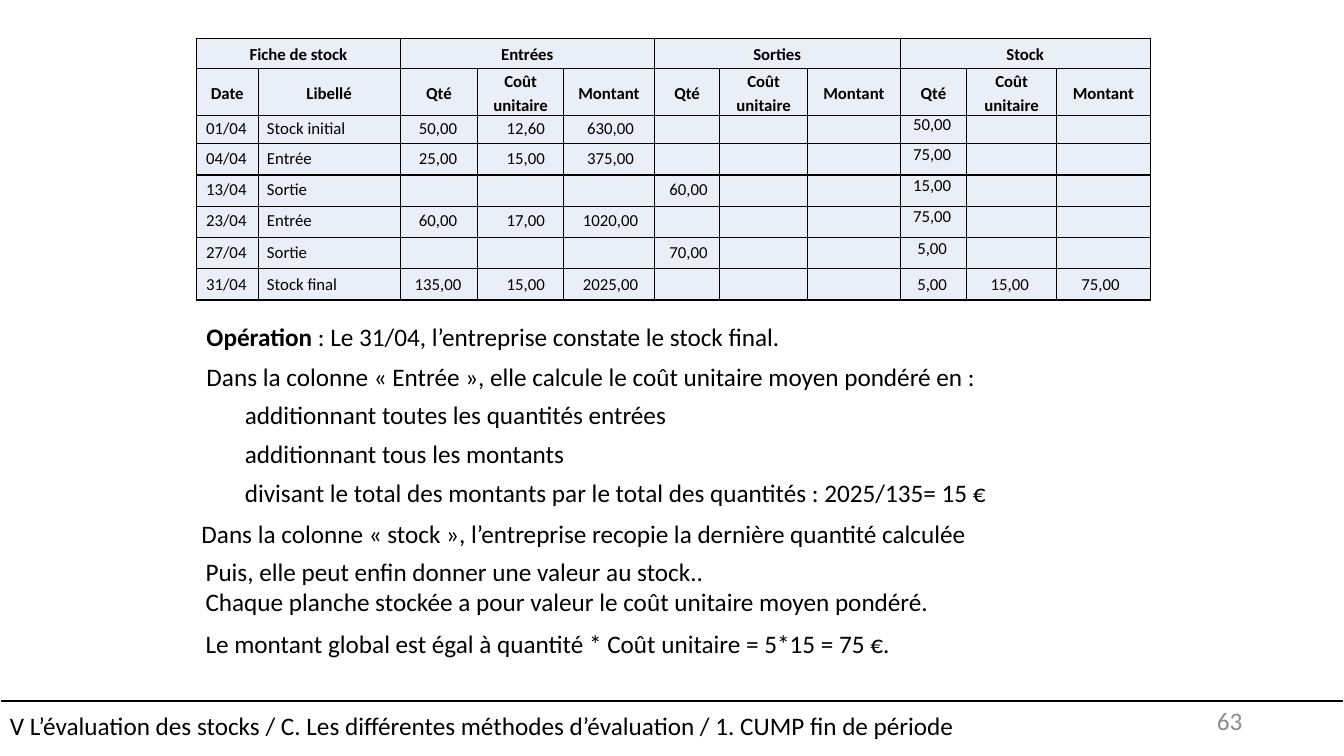
import pptx
import pptx.util
import pptx.dml.color
import pptx.enum.shapes
import pptx.enum.text
import pptx.oxml
import pptx.oxml.ns
from lxml import etree

Inches = pptx.util.Inches
Pt = pptx.util.Pt
ALIGN = pptx.enum.text.PP_ALIGN
ANCHOR = pptx.enum.text.MSO_ANCHOR

theme = {
    "font": "Calibri",
    "black": "000000",
    "white": "FFFFFF",
    "cell": "EAEFF7",
    "number": "8C8C8C",
    "table_size": 12,
    "body_size": 18,
}


def style(paragraph, size, color=theme["black"], bold=False, align=ALIGN.LEFT):
    paragraph.alignment = align
    for run in paragraph.runs:
        run.font.name = theme["font"]
        run.font.size = Pt(size)
        run.font.bold = bold
        run.font.color.rgb = pptx.dml.color.RGBColor.from_string(color)


def add_text(left, top, width, height, text, size, align=ALIGN.LEFT):
    shape = slide.shapes.add_textbox(Inches(left), Inches(top), Inches(width), Inches(height))
    frame = shape.text_frame
    frame.word_wrap = True
    frame.auto_size = pptx.enum.text.MSO_AUTO_SIZE.SHAPE_TO_FIT_TEXT
    frame.text = text
    for paragraph in frame.paragraphs:
        style(paragraph, size, align=align)
    return shape


presentation = pptx.Presentation()
presentation.slide_width = Inches(13.33)
presentation.slide_height = Inches(7.5)
slide = presentation.slides.add_slide(presentation.slide_layouts[6])

footer_line = slide.shapes.add_connector(
    pptx.enum.shapes.MSO_CONNECTOR.STRAIGHT, Inches(0), Inches(6.95), Inches(13.33), Inches(6.95))
footer_line.line.color.rgb = pptx.dml.color.RGBColor.from_string(theme["black"])
footer_line.line.width = Pt(1.5)
etree.SubElement(footer_line._element.spPr, pptx.oxml.ns.qn("a:effectLst"))

column_widths = [0.61, 1.41, 0.77, 0.85, 0.9, 0.65, 0.87, 0.92, 0.66, 0.89, 0.93]
row_heights = [0.3, 0.46, 0.28] + [0.31] * 5
groups = [(0, 1, "Fiche de stock"), (2, 4, "Entrées"), (5, 7, "Sorties"), (8, 10, "Stock")]
headings = ["Date", "Libellé"] + ["Qté", "Coût unitaire", "Montant"] * 3

table = slide.shapes.add_table(
    len(row_heights), len(column_widths), Inches(1.95), Inches(0.38), Inches(9.45), Inches(2.61)).table
table.first_row = False
table.horz_banding = False
for column, width in zip(table.columns, column_widths):
    column.width = Inches(width)
for row, height in zip(table.rows, row_heights):
    row.height = Inches(height)

for first, last, title in groups:
    table.cell(0, first).merge(table.cell(0, last))
    table.cell(0, first).text_frame.text = title
for index, heading in enumerate(headings):
    table.cell(1, index).text_frame.text = heading

for cell in (cell for row in table.rows for cell in row.cells):
    cell.fill.solid()
    cell.fill.fore_color.rgb = pptx.dml.color.RGBColor.from_string(theme["cell"])
    cell.vertical_anchor = ANCHOR.MIDDLE
    cell.margin_left = cell.margin_right = Inches(0.05)
    cell.margin_top = cell.margin_bottom = 0
    paragraph = cell.text_frame.paragraphs[0]
    if paragraph.runs:
        style(paragraph, theme["table_size"], bold=True, align=ALIGN.CENTER)
        paragraph.line_spacing = 1.15
    else:
        paragraph._p.get_or_add_endParaRPr().set("sz", str(theme["table_size"] * 100))
    for position, side in enumerate(["lnL", "lnR", "lnT", "lnB"]):
        border = pptx.oxml.parse_xml(
            f'<a:{side} {pptx.oxml.ns.nsdecls("a")} w="12700"><a:solidFill>'
            f'<a:srgbClr val="{theme["black"]}"/></a:solidFill></a:{side}>')
        cell._tc.get_or_add_tcPr().insert(position, border)

entry_columns = {
    "date": (1.93, 0.63),
    "label": (2.55, 1.36),
    "in_quantity": (3.91, 0.87),
    "in_cost": (4.78, 0.87),
    "in_amount": (5.62, 0.87),
    "out_quantity": (6.5, 0.66),
    "stock_quantity": (8.89, 0.71),
    "stock_cost": (9.58, 0.87),
    "stock_amount": (10.48, 0.87),
}
entries = [
    (1.12, -0.04, ["01/04", "Stock initial", "50,00", "12,60", "630,00", "", "50,00", "", ""]),
    (1.42, -0.04, ["04/04", "Entrée", "25,00", "15,00", "375,00", "", "75,00", "", ""]),
    (1.72, -0.04, ["13/04", "Sortie", "", "", "", "60,00", "15,00", "", ""]),
    (2.03, -0.04, ["23/04", "Entrée", "60,00", "17,00", "1020,00", "", "75,00", "", ""]),
    (2.35, -0.04, ["27/04", "Sortie", "", "", "", "70,00", "5,00", "", ""]),
    (2.67, 0, ["31/04", "Stock final", "135,00", "15,00", "2025,00", "", "5,00", "15,00", "75,00"]),
]
for top, stock_shift, values in entries:
    for (name, (left, width)), value in zip(entry_columns.items(), values):
        if value:
            shift = stock_shift if name == "stock_quantity" else 0
            align = ALIGN.LEFT if name == "label" else ALIGN.CENTER
            add_text(left, top + shift, width, 0.3, value, theme["table_size"], align)

operation = add_text(1.95, 3.14, 9.44, 0.4, "Opération", theme["body_size"])
paragraph = operation.text_frame.paragraphs[0]
paragraph.add_run().text = " : Le 31/04, l’entreprise constate le stock final."
style(paragraph, theme["body_size"])
paragraph.runs[0].font.bold = True

explanations = [
    (1.95, 3.54, 9.44, 0.4, "Dans la colonne « Entrée », elle calcule le coût unitaire moyen pondéré en :"),
    (2.33, 3.91, 8.97, 0.4, "additionnant toutes les quantités entrées"),
    (2.33, 4.3, 8.97, 0.4, "additionnant tous les montants"),
    (2.33, 4.69, 8.97, 0.4, "divisant le total des montants par le total des quantités : 2025/135= 15 €"),
    (1.9, 5.09, 9.44, 0.4, "Dans la colonne « stock », l’entreprise recopie la dernière quantité calculée"),
    (1.94, 5.47, 9.47, 0.71, "Puis, elle peut enfin donner une valeur au stock..\n"
                             "Chaque planche stockée a pour valeur le coût unitaire moyen pondéré."),
    (1.94, 6.18, 9.47, 0.4, "Le montant global est égal à quantité * Coût unitaire = 5*15 = 75 €."),
]
for left, top, width, height, text in explanations:
    add_text(left, top, width, height, text, theme["body_size"])

footer = slide.shapes.add_shape(
    pptx.enum.shapes.MSO_SHAPE.RECTANGLE, Inches(0), Inches(6.9), Inches(13.33), Inches(0.6))
footer.shadow.inherit = False
footer.fill.background()
footer.line.color.rgb = pptx.dml.color.RGBColor.from_string(theme["white"])
footer.line.width = Pt(1)
footer.text_frame.word_wrap = True
footer.text_frame.vertical_anchor = ANCHOR.MIDDLE
footer.text_frame.text = "V L’évaluation des stocks / C. Les différentes méthodes d’évaluation / 1. CUMP fin de période"
style(footer.text_frame.paragraphs[0], theme["body_size"])

page_number = add_text(9.42, 6.95, 3, 0.4, "63", theme["body_size"])
page_number.text_frame.vertical_anchor = ANCHOR.MIDDLE
style(page_number.text_frame.paragraphs[0], theme["body_size"], theme["number"], align=ALIGN.RIGHT)

presentation.save("out.pptx")
